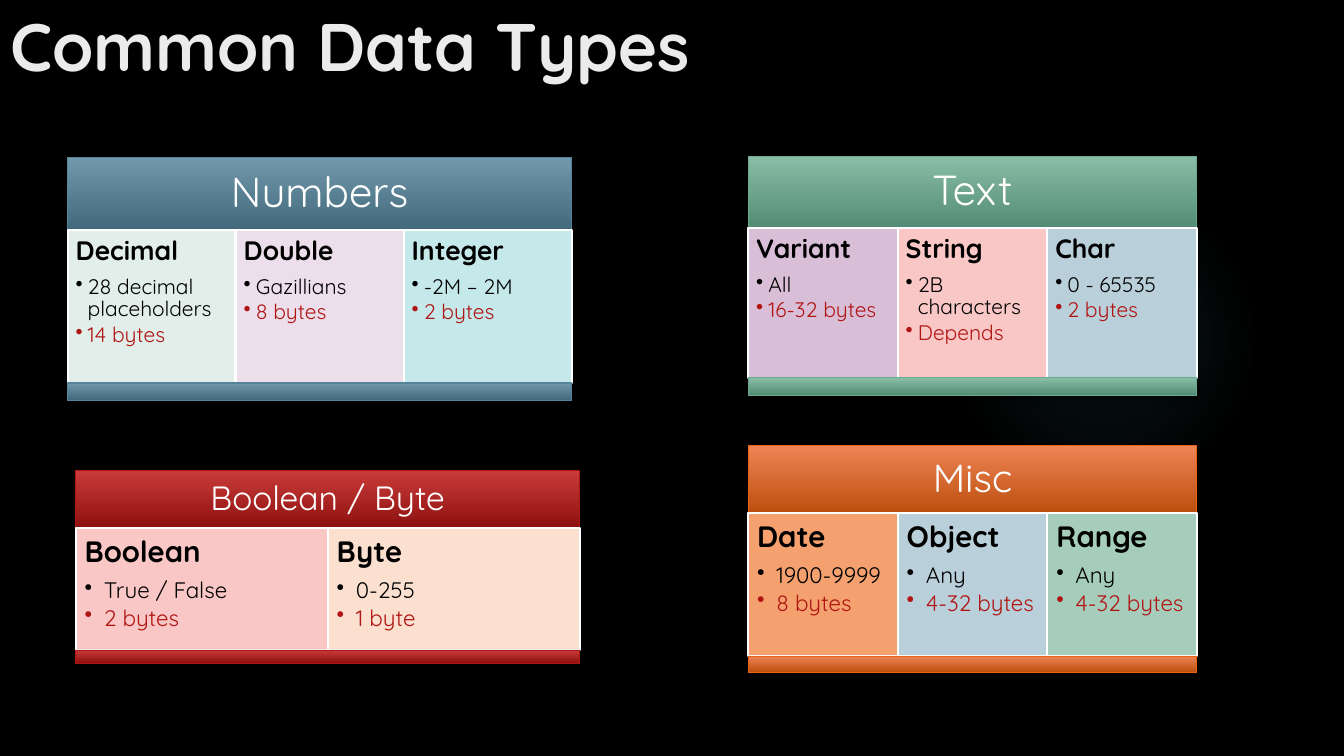
from lxml import etree
from pptx import Presentation
from pptx.dml.color import RGBColor
from pptx.enum.shapes import MSO_SHAPE
from pptx.enum.text import MSO_ANCHOR, MSO_AUTO_SIZE, PP_ALIGN
from pptx.oxml import parse_xml
from pptx.oxml.ns import nsdecls, qn
from pptx.util import Inches, Pt

RECT, OVAL = MSO_SHAPE.RECTANGLE, MSO_SHAPE.OVAL
TOP, MIDDLE = MSO_ANCHOR.TOP, MSO_ANCHOR.MIDDLE
LEFT, CENTER = PP_ALIGN.LEFT, PP_ALIGN.CENTER
FONT = "Quicksand"
COLORS = {
    "back": "000000", "title": "EBEBEB", "white": "FFFFFF", "black": "000000",
    "size": "B01513", "glow": "50B9C1",
    "mint": "E1EEE9", "lilac": "ECDFEB", "aqua": "C5E8EA", "mauve": "D9BED7",
    "pink": "F9C7C6", "steel": "B9CFD9", "peach": "FBE0CF", "amber": "F4A16F",
    "sage": "A6CDBC",
}
# Bar colours: gradient top, gradient bottom, outline
BARS = {
    "blue": ("7198AB", "436A7C", "54849A"),
    "orange": ("EE8455", "BC4F0E", "EA6312"),
    "red": ("C93B3A", "8D110F", "B01513"),
    "green": ("89BDA7", "538C74", "6AAC90"),
}
# Text settings: head size, item size, cell inset, bullet indent
SMALL = (19, 15, 0.08, 0.12)
LARGE = (21, 16, 0.09, 0.19)
# Panel: name, bar colour, left, top, width, heights of the three rows,
# name size, name inset, text settings, cells
PANELS = [
    ("Numbers", "blue", 0.67, 1.56, 5, (0.72, 1.52, 0.17), 30, 0.12, SMALL, [
        ("Decimal", "28 decimal placeholders", "14 bytes", "mint"),
        ("Double", "Gazillians", "8 bytes", "lilac"),
        ("Integer", "-2M – 2M", "2 bytes", "aqua")]),
    ("Misc", "orange", 7.42, 4.42, 4.45, (0.67, 1.42, 0.16), 28, 0.12, LARGE, [
        ("Date", "1900-9999", "8 bytes", "amber"),
        ("Object", "Any", "4-32 bytes", "steel"),
        ("Range", "Any", "4-32 bytes", "sage")]),
    ("Boolean / Byte", "red", 0.75, 4.67, 5, (0.57, 1.21, 0.13), 24, 0.1, LARGE, [
        ("Boolean", "True / False", "2 bytes", "pink"),
        ("Byte", "0-255", "1 byte", "peach")]),
    ("Text", "green", 7.42, 1.55, 4.45, (0.71, 1.49, 0.17), 30, 0.12, SMALL, [
        ("Variant", "All", "16-32 bytes", "mauve"),
        ("String", "2B characters", "Depends", "pink"),
        ("Char", "0 - 65535", "2 bytes", "steel")]),
]


def rgb(name):
    return RGBColor.from_string(COLORS.get(name, name))


def style(para, size, color, bold=False, align=LEFT):
    para.alignment = align
    for run in para.runs:
        font = run.font
        font.name, font.size, font.bold = FONT, Pt(size), bold
        font.color.rgb = rgb(color)


def space(para, size, part):
    """Set tight lines and a gap after, as a part of the text size."""
    para.line_spacing = 0.9
    para.space_after = Pt(round(size * part, 2))


def bullet(para, indent):
    para.level = 1
    props = para._p.get_or_add_pPr()
    props.set("marL", str(Inches(indent)))
    props.set("indent", str(-Inches(indent)))
    etree.SubElement(props, qn("a:buChar")).set("char", "•")


def frame(shape, inset, anchor):
    text = shape.text_frame
    text.word_wrap = True
    text.vertical_anchor = anchor
    text.margin_left = text.margin_right = Inches(inset)
    text.margin_top = text.margin_bottom = Inches(inset)
    return text


def box(shapes, kind, x, y, w, h):
    shape = shapes.add_shape(kind, Inches(x), Inches(y), Inches(w), Inches(h))
    shape.shadow.inherit = False
    return shape


def bar(shapes, x, y, w, h, name):
    """Add a gradient strip with a soft shadow below it."""
    shape = box(shapes, RECT, x, y, w, h)
    *shades, edge = BARS[name]
    shape.fill.gradient()
    shape.fill.gradient_angle = 270
    for stop, shade in zip(shape.fill.gradient_stops, shades):
        stop.color.rgb = rgb(shade)
    shape.line.color.rgb = rgb(edge)
    shape.line.width = Pt(0.75)
    shape._element.spPr.find(qn("a:effectLst")).append(parse_xml(
        f'<a:outerShdw {nsdecls("a")} blurRad="{Pt(3)}" dist="{Pt(2)}" '
        f'dir="5400000" rotWithShape="0"><a:srgbClr val="{COLORS["black"]}">'
        '<a:alpha val="45000"/></a:srgbClr></a:outerShdw>'))
    return shape


def cell(shapes, x, y, w, h, data, sizes):
    *lines, fill = data
    head, item, inset, indent = sizes
    shape = box(shapes, RECT, x, y, w, h)
    shape.fill.solid()
    shape.fill.fore_color.rgb = rgb(fill)
    shape.line.color.rgb = rgb("white")
    shape.line.width = Pt(1.5)
    text = frame(shape, inset, TOP)
    text.text = "\n".join(lines)
    first, *items = text.paragraphs
    space(first, head, 0.35)
    style(first, head, "black", True)
    for para, color in zip(items, ("black", "size")):
        bullet(para, indent)
        space(para, item, 0.15)
        style(para, item, color)


def panel(slide, name, color, x, y, w, rows, size, inset, sizes, cells):
    """Add a group: name bar, equal cells side by side, closing bar."""
    shapes = slide.shapes.add_group_shape().shapes
    top, mid, low = rows
    text = frame(bar(shapes, x, y, w, top, color), inset, MIDDLE)
    text.text = name
    space(text.paragraphs[0], size, 0)
    style(text.paragraphs[0], size, "white", align=CENTER)
    wide = w / len(cells)
    for i, data in enumerate(cells):
        cell(shapes, x + i * wide, y + top, wide, mid, data, sizes)
    bar(shapes, x, y + top + mid, w, low, color)


def glow(slide):
    """Add a faint round light behind everything else."""
    shape = box(slide.shapes, OVAL, 9.41, 1.83, 3.08, 3.08)
    shape.line.fill.background()
    stops = "".join(
        f'<a:gs pos="{pos}000"><a:srgbClr val="{COLORS["glow"]}">'
        f'<a:alpha val="{alpha}000"/></a:srgbClr></a:gs>'
        for pos, alpha in ((0, 7), (36, 6), (69, 0)))
    fill = parse_xml(
        f'<a:gradFill {nsdecls("a")}><a:gsLst>{stops}</a:gsLst>'
        '<a:path path="circle"><a:fillToRect l="50000" t="50000" '
        'r="50000" b="50000"/></a:path></a:gradFill>')
    shape._element.spPr.find(qn("a:prstGeom")).addnext(fill)
    slide.shapes._spTree.insert(2, shape._element)


def title(slide, words):
    shape = slide.shapes.title
    shape.left, shape.top = Inches(0), Inches(-0.01)
    shape.width, shape.height = Inches(10.29), Inches(1.53)
    text = shape.text_frame
    text.text = words
    text.word_wrap = True
    text.auto_size = MSO_AUTO_SIZE.NONE
    text.vertical_anchor = TOP
    style(text.paragraphs[0], 48, "title", True)


def main():
    deck = Presentation()
    deck.slide_width, deck.slide_height = Inches(13.33), Inches(7.5)
    slide = deck.slides.add_slide(deck.slide_layouts[5])
    slide.background.fill.solid()
    slide.background.fill.fore_color.rgb = rgb("back")
    glow(slide)
    title(slide, "Common Data Types")
    for data in PANELS:
        panel(slide, *data)
    deck.save("out.pptx")


if __name__ == "__main__":
    main()
